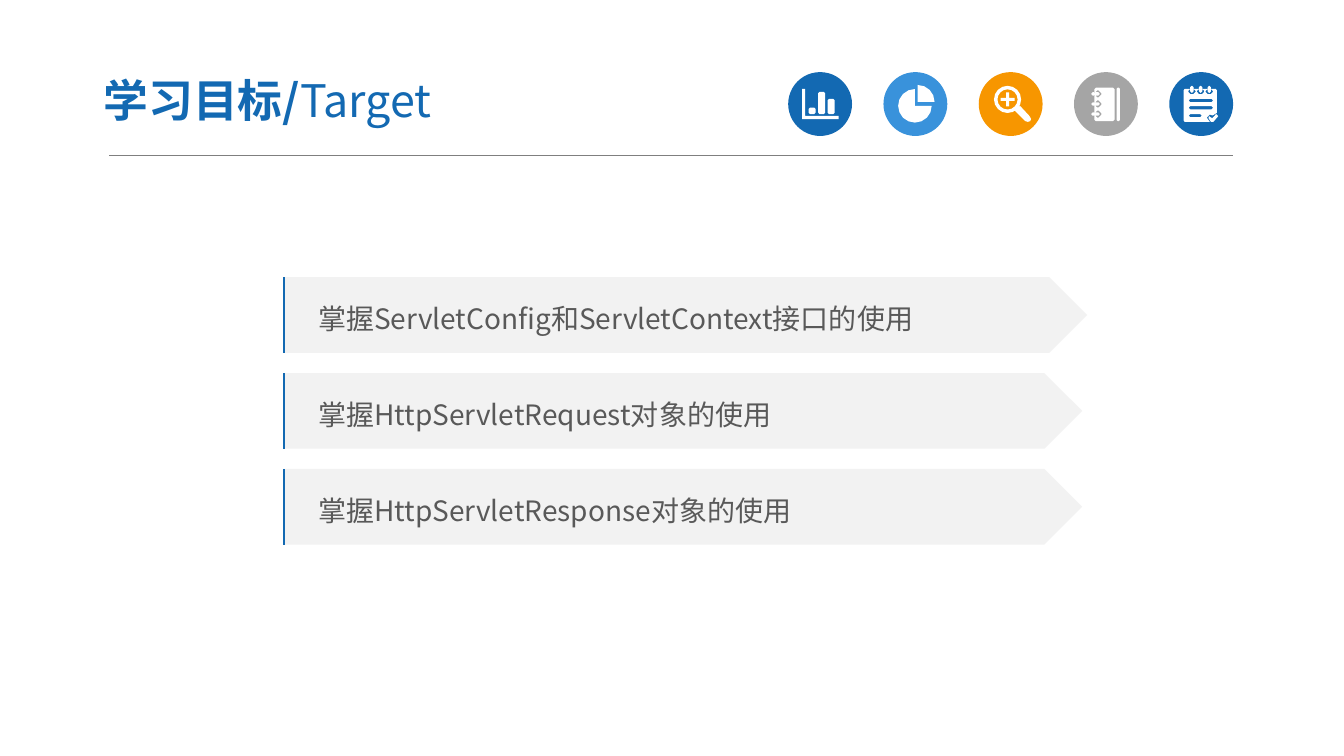
from math import cos, radians, sin

from lxml import etree
from pptx import Presentation
from pptx.dml.color import RGBColor
from pptx.enum.shapes import MSO_CONNECTOR, MSO_SHAPE
from pptx.enum.text import MSO_ANCHOR, PP_ALIGN
from pptx.oxml.ns import qn
from pptx.util import Pt

FONT = "Noto Sans CJK SC"
COLOURS = {
    "blue": "1369B2", "sky": "3992DB", "orange": "F79600", "grey": "A5A5A5",
    "rule": "7F7F7F", "band": "F2F2F2", "text": "595959", "white": "FFFFFF",
}
DISC = {"left": 563, "top": 51.5, "size": 45.6, "step": 68.05}
GOAL = {"left": 202.5, "top": 198, "height": 54, "step": 68.5, "edge": 8.5}
GOALS = [
    ("掌握ServletConfig和ServletContext接口的使用", 574),
    ("掌握HttpServletRequest对象的使用", 570.5),
    ("掌握HttpServletResponse对象的使用", 570.5),
]


def colour(name):
    return RGBColor.from_string(COLOURS[name])


def paint(shape, fill):
    shape.shadow.inherit = False
    shape.fill.solid()
    shape.fill.fore_color.rgb = colour(fill)
    shape.line.fill.background()


def draw_line(shape, name, width):
    shape.line.color.rgb = colour(name)
    shape.line.width = Pt(width)


def write(box, spans, size, name, inset, spacing=1.0):
    """Fill a box with one left-aligned paragraph of (text, bold) spans."""
    frame = box.text_frame
    settings = {"word_wrap": True, "vertical_anchor": MSO_ANCHOR.MIDDLE,
                "margin_left": Pt(inset)}
    for key, value in settings.items():
        setattr(frame, key, value)
    para = frame.paragraphs[0]
    para.alignment = PP_ALIGN.LEFT
    para.line_spacing = spacing
    for text, bold in spans:
        span = para.add_run()
        span.text = text
        for key, value in {"name": FONT, "size": Pt(size), "bold": bold}.items():
            setattr(span.font, key, value)
        span.font.color.rgb = colour(name)
        fonts = span.font._element
        fonts.find(qn("a:latin")).addnext(
            fonts.makeelement(qn("a:ea"), {"typeface": FONT}))


def arc(x, y, radius, start=0, end=360, stride=22.5):
    """Points along an arc, clockwise from the right, angles in degrees."""
    steps = round((end - start) / stride)
    angles = [radians(start + stride * i) for i in range(steps + 1)]
    return [(x + radius * cos(a), y + radius * sin(a)) for a in angles]


def rounded(left, top, width, height, radius=1):
    right, bottom = left + width - radius, top + height - radius
    left, top = left + radius, top + radius
    corners = [(right, bottom), (left, bottom), (left, top), (right, top)]
    return [point for i, (x, y) in enumerate(corners)
            for point in arc(x, y, radius, 90 * i, 90 * i + 90, 90)]


def bar_chart():
    axes = [(10, 12), (12.2, 12), (12.2, 31.4), (36, 31.4), (36, 33.6), (10, 33.6)]
    bars = [(14.6, 25.4), (21.4, 14.2), (28.2, 19.2)]
    return [axes] + [rounded(x, top, 5, 30 - top) for x, top in bars]


def pie_chart():
    slices = [(24.5, 21.2, 12, 270, 360), (22.5, 24.1, 12, 0, 270)]
    return [[piece[:2]] + arc(*piece) for piece in slices]


def magnifier():
    x, y, arm, half = 20.6, 19.5, 5, 1.1
    handle = [(25.9, 27.7), (33.1, 34.9), (35, 35.5), (36.8, 35), (37.4, 33.5),
              (36.2, 31.3), (29.5, 24.1), (27.8, 26)]
    quarter = [(arm, -half), (arm, half), (half, half)]
    plus = []
    for _ in range(4):
        plus += [(x + dx, y + dy) for dx, dy in quarter]
        quarter = [(-dy, dx) for dx, dy in quarter]
    return [arc(x, y, 9.7), arc(x, y, 7.2), plus, handle]


def notebook():
    outlines = [rounded(14.6, 11.2, 14.4, 23.8), rounded(30.4, 11.2, 2.4, 23.8, 0.8)]
    for y in (15.6, 22.8, 30):
        outlines += [rounded(14.6, y - 2.5, 5, 5, 2), rounded(12.4, y - 1.2, 6, 2.4)]
    return outlines


def notepad():
    paper = [(11, 12), (33.2, 12), (34, 13), (34, 29.2), (31, 31), (29, 30.4),
             (26.8, 32.5), (29, 35.6), (11, 35.6), (10.3, 34.6), (10.3, 13)]
    tick = [(28.5, 31.5), (30.7, 33), (33.5, 30), (35, 31.5), (31.5, 35.6),
            (29.8, 35.6), (28, 32.8)]
    lines = [(19.2, 17.2), (24.4, 17.2), (30, 9.2)]
    outlines = [paper, tick]
    outlines += [rounded(14, y, width, 2.2) for y, width in lines]
    for x in (16.2, 22.4, 28.6):
        outlines += [rounded(x - 2.6, 12, 5.2, 3.7, 1.5), rounded(x - 1.2, 9.8, 2.4, 5)]
    return outlines


def add_icon(page, index, fill, outlines):
    left, top = DISC["left"] + index * DISC["step"], DISC["top"]
    size = Pt(DISC["size"])
    icon = page.shapes.add_group_shape().shapes
    paint(icon.add_shape(MSO_SHAPE.OVAL, Pt(left), Pt(top), size, size), fill)
    contours = [[(Pt(left + x), Pt(top + y)) for x, y in outline] for outline in outlines]
    builder = icon.build_freeform(*contours[0][0])
    for number, contour in enumerate(contours):
        if number:
            builder.move_to(*contour[0])
        builder.add_line_segments(contour[1:], close=True)
    paint(builder.convert_to_shape(), "white")


def add_goal(page, index, text, width):
    left, height = GOAL["left"], GOAL["height"]
    top = GOAL["top"] + index * GOAL["step"]
    goal = page.shapes.add_group_shape().shapes
    band = goal.add_shape(
        MSO_SHAPE.PENTAGON, Pt(left), Pt(top), Pt(width), Pt(height))
    paint(band, "band")
    write(band, [(text, False)], 20, "text", inset=24.7, spacing=1.2)
    start = left + 0.5
    builder = goal.build_freeform(Pt(start + GOAL["edge"]), Pt(top))
    builder.move_to(Pt(start), Pt(top + height))
    builder.add_line_segments([(Pt(start), Pt(top))], close=False)
    edge = builder.convert_to_shape()
    edge.shadow.inherit = False
    edge.fill.background()
    draw_line(edge, "blue", 1.5)


def add_rule(page, left, right, y):
    rule = page.shapes.add_connector(
        MSO_CONNECTOR.STRAIGHT, Pt(left), Pt(y), Pt(right), Pt(y))
    draw_line(rule, "rule", 0.5)
    etree.SubElement(rule._element.spPr, qn("a:effectLst"))


def main():
    deck = Presentation()
    deck.slide_width, deck.slide_height = Pt(960), Pt(540)
    page = deck.slides.add_slide(deck.slide_layouts[6])

    add_rule(page, 78, 880.5, 111)
    icons = [("blue", bar_chart), ("sky", pie_chart), ("orange", magnifier),
             ("grey", notebook), ("blue", notepad)]
    for index, (fill, draw) in enumerate(icons):
        add_icon(page, index, fill, draw())

    title = page.shapes.add_textbox(Pt(64), Pt(45.5), Pt(376), Pt(52))
    write(title, [("学习目标/", True), ("Target", False)], 32, "blue", inset=10)

    for index, (text, width) in enumerate(GOALS):
        add_goal(page, index, text, width)
    deck.save("out.pptx")


if __name__ == "__main__":
    main()
